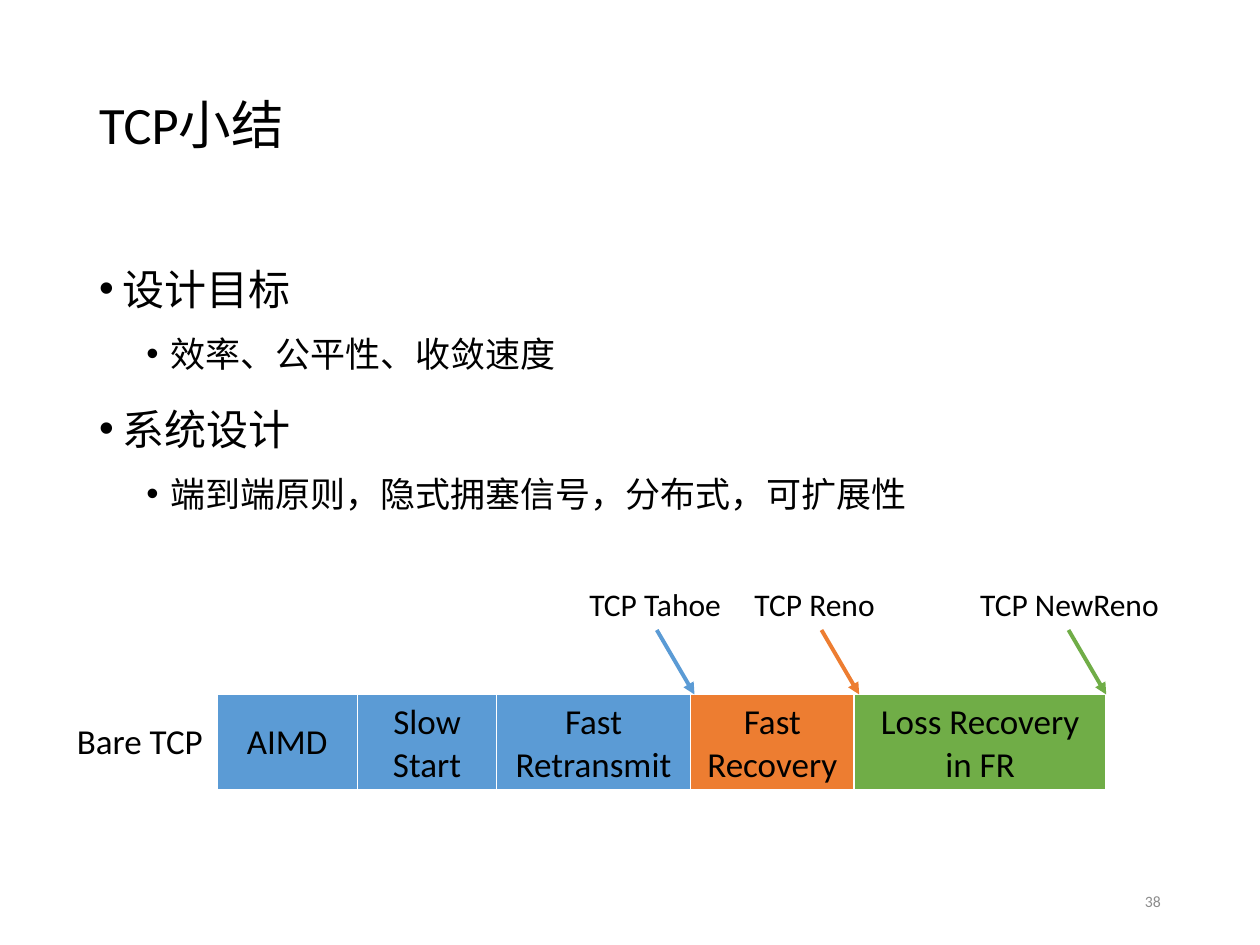
from lxml.etree import SubElement
from pptx import Presentation
from pptx.dml.color import RGBColor
from pptx.enum.shapes import MSO_CONNECTOR
from pptx.enum.text import MSO_ANCHOR, PP_ALIGN
from pptx.oxml.ns import qn
from pptx.util import Cm, Pt

BLUE, ORANGE, GREEN = "5B9BD5", "ED7D31", "70AD47"
WHITE, BLACK, GRAY = "FFFFFF", "000000", "8C8C8C"

POINTS = [
    (0, "设计目标"),
    (1, "效率、公平性、收敛速度"),
    (0, "系统设计"),
    (1, "端到端原则，隐式拥塞信号，分布式，可扩展性"),
]
# Text, column width in cm, fill
PARTS = [
    ("Bare TCP", 3.1, WHITE),
    ("AIMD", 2.84, BLUE),
    ("Slow Start", 2.8, BLUE),
    ("Fast Retransmit", 3.91, BLUE),
    ("Fast Recovery", 3.3, ORANGE),
    ("Loss Recovery in FR", 5.08, GREEN),
]
# Text, label left, label width, arrow tip x, colour
STAGES = [
    ("TCP Tahoe", 11.63, 3.2, 14, BLUE),
    ("TCP Reno", 14.96, 2.97, 17.32, ORANGE),
    ("TCP NewReno", 19.51, 4.17, 22.3, GREEN),
]
BAR_TOP = 14


def color(code):
    return RGBColor.from_string(code)


def write(para, text, size=20, code=BLACK, align=PP_ALIGN.LEFT, line=None, before=0):
    para.alignment = align
    para.space_before = Pt(before)
    if line:
        para.line_spacing = line
    run = para.add_run()
    run.text = text
    run.font.name = "Calibri"
    run.font.size = Pt(size)
    run.font.color.rgb = color(code)


def add_box(slide, left, top, width, height, anchor=MSO_ANCHOR.TOP, wrap=True):
    box = slide.shapes.add_textbox(Cm(left), Cm(top), Cm(width), Cm(height))
    frame = box.text_frame
    frame.word_wrap = wrap
    frame.vertical_anchor = anchor
    return frame


def add_list(slide):
    frame = add_box(slide, 1.75, 4.88, 21.9, 5.89)
    for i, (level, text) in enumerate(POINTS):
        para = frame.add_paragraph() if i else frame.paragraphs[0]
        para.level = level
        props = para._p.get_or_add_pPr()
        props.set("marL", str(Cm(0.48 + 0.95 * level)))
        props.set("indent", str(-Cm(0.48)))
        SubElement(props, qn("a:buFont"), typeface="Arial")
        SubElement(props, qn("a:buChar"), char="•")
        before = (7.5, 3.8)[level] if i else 0
        write(para, text, size=24 - 4 * level, line=1.3, before=before)


def add_border(cell):
    props = cell._tc.get_or_add_tcPr()
    for i, (side, width) in enumerate([("L", 1), ("R", 1), ("T", 1), ("B", 3)]):
        edge = props.makeelement(qn(f"a:ln{side}"), {"w": str(Pt(width))})
        fill = SubElement(edge, qn("a:solidFill"))
        SubElement(fill, qn("a:srgbClr"), val=WHITE)
        props.insert(i, edge)


def add_bar(slide):
    total = sum(width for _, width, _ in PARTS)
    table = slide.shapes.add_table(
        1, len(PARTS), Cm(1.27), Cm(BAR_TOP), Cm(total), Cm(1.95)
    ).table
    table.first_row = table.horz_banding = False
    for i, (text, width, code) in enumerate(PARTS):
        table.columns[i].width = Cm(width)
        cell = table.cell(0, i)
        cell.vertical_anchor = MSO_ANCHOR.MIDDLE
        cell.fill.solid()
        cell.fill.fore_color.rgb = color(code)
        add_border(cell)
        write(cell.text_frame.paragraphs[0], text, align=PP_ALIGN.CENTER)


def add_arrow(slide, tip, code):
    arrow = slide.shapes.add_connector(
        MSO_CONNECTOR.STRAIGHT, Cm(tip - 0.76), Cm(BAR_TOP - 1.3), Cm(tip), Cm(BAR_TOP)
    )
    arrow.line.color.rgb = color(code)
    arrow.line.width = Pt(2.25)
    SubElement(arrow.line._get_or_add_ln(), qn("a:tailEnd"), type="triangle")
    SubElement(arrow._element.spPr, qn("a:effectLst"))


def main():
    deck = Presentation()
    deck.slide_width, deck.slide_height = Cm(25.4), Cm(19.05)
    slide = deck.slides.add_slide(deck.slide_layouts[6])

    # Title and bullets
    title = add_box(slide, 1.75, 1.02, 21.9, 3.12, anchor=MSO_ANCHOR.MIDDLE)
    write(title.paragraphs[0], "TCP小结", size=30, line=0.9)
    add_list(slide)

    # Bar of mechanisms, with the TCP version that ends at each part
    add_bar(slide)
    for text, left, width, tip, code in STAGES:
        label = add_box(slide, left, 11.66, width, 1.02, wrap=False)
        write(label.paragraphs[0], text, size=18)
        add_arrow(slide, tip, code)

    # Page number
    page = add_box(slide, 17.93, 17.65, 5.72, 1.02, anchor=MSO_ANCHOR.MIDDLE)
    write(page.paragraphs[0], "38", size=9, code=GRAY, align=PP_ALIGN.RIGHT)

    deck.save("out.pptx")


if __name__ == "__main__":
    main()
